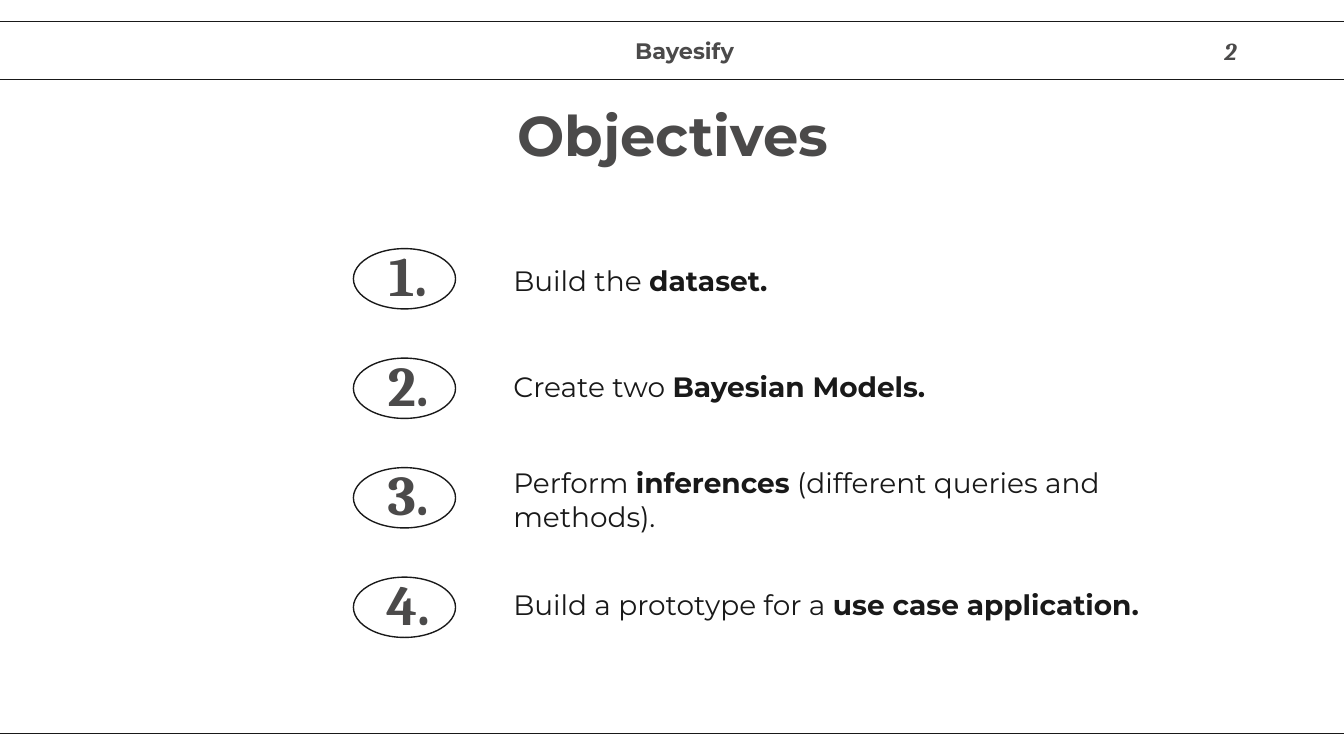
from lxml import etree
from pptx import Presentation
from pptx.dml.color import RGBColor
from pptx.enum.shapes import MSO_SHAPE
from pptx.enum.text import MSO_ANCHOR, MSO_AUTO_SIZE, PP_ALIGN
from pptx.oxml.ns import qn
from pptx.util import Cm, Pt

INK = RGBColor(0x19, 0x19, 0x19)
GREY = RGBColor(0x4B, 0x4A, 0x4A)
SANS, SERIF = "Montserrat", "Cambria"
COMPARISON_LAYOUT = 4  # a title and four body placeholders

# First badge top, distance between badges, badge height (cm)
FIRST_TOP, PITCH, BADGE_HEIGHT = 4.7, 2.07, 1.14

# Text top, text width (cm), and the runs as (wording, bold)
OBJECTIVES = [
    (4.7, 10.92, [("Build the ", False), ("dataset.", True)]),
    (6.71, 8.92, [("Create two ", False), ("Bayesian Models.", True)]),
    (8.84, 12.62, [("Perform ", False), ("inferences", True),
                   (" (different queries and methods).", False)]),
    (10.82, 12.62, [("Build a prototype for a ", False),
                    ("use case application.", True)]),
]


class SlideBuilder:
    """Holds the slide and its style."""

    def __init__(self, slide):
        self.slide = slide

    def outline(self, kind, left, top, width, height):
        frame = self.slide.shapes.add_shape(
            kind, Cm(left), Cm(top), Cm(width), Cm(height))
        frame.shadow.inherit = False
        frame.fill.background()
        frame.line.color.rgb = INK
        frame.line.width = Pt(0.75)

    def fill_text(self, holder, runs, size, font, color, align, italic=False):
        text_frame = holder.text_frame
        text_frame.word_wrap = True
        text_frame.auto_size = MSO_AUTO_SIZE.NONE
        text_frame.vertical_anchor = MSO_ANCHOR.MIDDLE
        text_frame.margin_left = text_frame.margin_right = Cm(0.25)
        text_frame.margin_top = text_frame.margin_bottom = Cm(0.25)
        paragraph = text_frame.paragraphs[0]
        paragraph.alignment = align
        paragraph.space_before = Pt(0)
        for wording, bold in runs:
            run = paragraph.add_run()
            run.text = wording
            run.font.size, run.font.name = Pt(size), font
            run.font.bold, run.font.italic = bold, italic
            run.font.color.rgb = color

    def label(self, wording, left, top, width, height, size, font,
              align=PP_ALIGN.CENTER, italic=False):
        box = self.slide.shapes.add_textbox(
            Cm(left), Cm(top), Cm(width), Cm(height))
        self.fill_text(box, [(wording, True)], size, font, GREY, align, italic)

    def place(self, holder, left, top, width, height):
        holder.left, holder.top = Cm(left), Cm(top)
        holder.width, holder.height = Cm(width), Cm(height)

    def title(self, wording):
        heading = self.slide.shapes.title
        self.place(heading, 2.01, 1.5, 21.41, 2.08)
        self.fill_text(heading, [(wording, True)], 30, SANS, GREY,
                       PP_ALIGN.CENTER)

    def objective(self, number, top, width, runs):
        body = self.slide.placeholders[number]
        self.place(body, 9.45, top, width, 1.19)
        self.fill_text(body, runs, 15, SANS, INK, PP_ALIGN.LEFT)
        # No bullet and no indent
        properties = body.text_frame.paragraphs[0]._p.get_or_add_pPr()
        properties.set("marL", "0")
        properties.set("indent", "0")
        etree.SubElement(properties, qn("a:buNone"))

    def badge(self, number):
        top = FIRST_TOP + (number - 1) * PITCH
        self.outline(MSO_SHAPE.OVAL, 6.68, top, 1.93, BADGE_HEIGHT)
        self.label(f"{number}.", 6.99, top - 0.08, 1.45, BADGE_HEIGHT, 30, SERIF)


def main():
    presentation = Presentation()
    presentation.slide_width, presentation.slide_height = Cm(25.4), Cm(14.29)
    layout = presentation.slide_layouts[COMPARISON_LAYOUT]
    builder = SlideBuilder(presentation.slides.add_slide(layout))

    # Header and footer bands
    builder.outline(MSO_SHAPE.RECTANGLE, -0.46, 0.41, 26.31, 1.09)
    builder.outline(MSO_SHAPE.RECTANGLE, -0.46, 13.87, 26.31, 0.56)
    builder.label("Bayesify", 5.08, 0.61, 15.72, 0.69, 12, SANS)
    builder.label("2", 22.1, 0.61, 1.52, 0.69, 13, SERIF,
                  PP_ALIGN.RIGHT, italic=True)

    # Title and numbered objectives
    builder.title("Objectives")
    for number, (top, width, runs) in enumerate(OBJECTIVES, start=1):
        builder.badge(number)
        builder.objective(number, top, width, runs)

    presentation.save("out.pptx")


if __name__ == "__main__":
    main()
